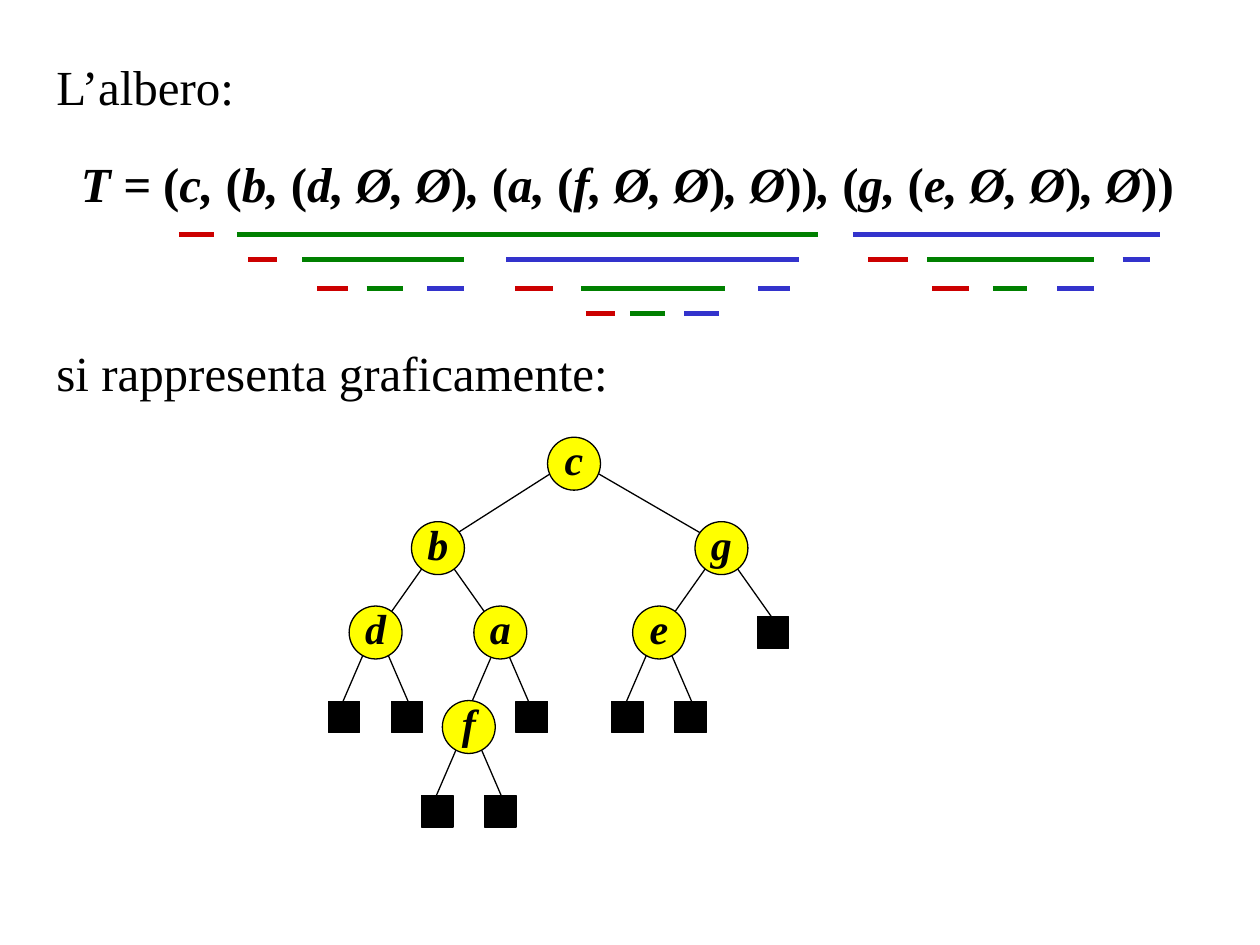
from dataclasses import dataclass
from itertools import groupby

from lxml.etree import SubElement
from pptx import Presentation
from pptx.dml.color import RGBColor
from pptx.enum.shapes import MSO_CONNECTOR, MSO_SHAPE
from pptx.enum.text import MSO_ANCHOR, PP_ALIGN
from pptx.oxml.ns import qn
from pptx.util import Inches, Pt


@dataclass(frozen=True)
class Theme:
    font: str = "Times New Roman"
    ink: RGBColor = RGBColor(0, 0, 0)
    node: RGBColor = RGBColor(0xFF, 0xFF, 0)
    root: RGBColor = RGBColor(0xCC, 0, 0)
    left: RGBColor = RGBColor(0, 0x80, 0)
    right: RGBColor = RGBColor(0x33, 0x33, 0xCC)
    body: Pt = Pt(28)
    label: Pt = Pt(24)
    thin: Pt = Pt(0.75)
    thick: Pt = Pt(3)


THEME = Theme()
COLS = 100
prs = Presentation()
prs.slide_width, prs.slide_height = Inches(10), Inches(7.5)
CELL = prs.slide_width / COLS

FORMULA = "T = (c, (b, (d, Ø, Ø), (a, (f, Ø, Ø), Ø)), (g, (e, Ø, Ø), Ø))"
TREE = ("c",
        ("b", ("d", None, None), ("a", ("f", None, None), None)),
        ("g", ("e", None, None), None))
UNDERLINES = [
    (0, [((0, 2.8), (4.6, 50.7), (53.5, 77.9))]),
    (2, [((5.5, 7.8), (9.8, 22.6), (26, 49.2)),
         ((54.7, 57.9), (59.4, 72.6), (74.9, 77.1))]),
    (4.3, [((11, 13.4), (14.9, 17.8), (19.7, 22.6)),
           ((26.7, 29.7), (31.9, 43.3), (46, 48.5)),
           ((59.8, 62.7), (64.6, 67.3), (69.7, 72.6))]),
    (6.3, [((32.3, 34.6), (35.8, 38.6), (40.1, 42.9))]),
]
EDGE_START = (1.25, 0.4, 0.4)
EDGE_RUN = ((9.1, 10), (4.1, 4.1), (2.5, 2.5))


def at(*cells):
    return [round(c * CELL) for c in cells]


def set_font(p, size, bold=False):
    p.font.name, p.font.size = THEME.font, size
    p.font.color.rgb, p.font.bold = THEME.ink, bold


def add_line(s, x1, y1, x2, y2, color, width):
    cn = s.shapes.add_connector(MSO_CONNECTOR.STRAIGHT, *at(x1, y1, x2, y2))
    cn.line.color.rgb, cn.line.width = color, width
    SubElement(cn._element.spPr, qn("a:effectLst"))


def add_mark(s, kind, x, y, size, fill):
    sp = s.shapes.add_shape(kind, *at(x - size / 2, y - size / 2, size, size))
    sp.shadow.inherit = False
    sp.fill.solid()
    sp.fill.fore_color.rgb = fill
    sp.line.color.rgb, sp.line.width = THEME.ink, THEME.thin
    return sp


def add_statement(s, box):
    tf = s.shapes.add_textbox(*at(*box)).text_frame
    tf.word_wrap = True
    intro, formula, outro = tf.paragraphs[0], tf.add_paragraph(), tf.add_paragraph()
    intro.text, outro.text = "L’albero:", "si rappresenta graficamente:"
    for is_paren, chars in groupby(FORMULA, key=lambda ch: ch in "()"):
        r = formula.add_run()
        r.text, r.font.italic = "".join(chars), not is_paren
    for p, gap in ((intro, 0), (formula, 21.5), (outro, 74.5)):
        set_font(p, THEME.body, bold=p is formula)
        p.space_before = Pt(gap)
    pPr = formula._p.get_or_add_pPr()
    pPr.set("marL", str(Pt(14)))
    pPr.set("indent", "0")


def add_underlines(s, box):
    left, top = box[:2]
    for row, groups in UNDERLINES:
        for group in groups:
            for (x1, x2), color in zip(group, (THEME.root, THEME.left, THEME.right)):
                add_line(s, left + x1, top + row, left + x2, top + row,
                         color, THEME.thick)


def add_node(s, letter, x, y):
    tf = add_mark(s, MSO_SHAPE.OVAL, x, y, 4.2, THEME.node).text_frame
    tf.margin_left = tf.margin_right = tf.margin_top = tf.margin_bottom = 0
    tf.word_wrap = False
    tf.vertical_anchor = MSO_ANCHOR.MIDDLE
    p = tf.paragraphs[0]
    p.text, p.alignment, p.line_spacing = letter, PP_ALIGN.CENTER, 0.8
    set_font(p, THEME.label, bold=True)
    p.font.italic = True


def add_subtree(s, tree, x, y, level=0):
    if tree is None:
        add_mark(s, MSO_SHAPE.RECTANGLE, x, y, 2.5, THEME.ink)
        return
    letter, *kids = tree
    lift = 1.2 if level == 2 and any(kids) else 0.4
    for side, run, kid in zip((-1, 1), EDGE_RUN[min(level, 2)], kids):
        x1 = x + side * EDGE_START[min(level, 2)]
        x2 = x1 + side * run
        add_line(s, x1, y + lift, x2, y + lift + 5.8, THEME.ink, THEME.thin)
        inset = 0.45 if kid and level < 2 else -0.4
        drop = 6.3 + (lift if kid else 0.4)
        add_subtree(s, kid, x2 + side * inset, y + drop, level + 1)
    add_node(s, letter, x, y)


def add_tree(s, box):
    left, top, width, height = box
    add_subtree(s, TREE, left + width * 0.53, top + 2.1)


def main():
    s = prs.slides.add_slide(prs.slide_layouts[6])
    add_statement(s, (3.5, 4, 93.3, 29.5))
    add_tree(s, (26, 34.7, 36.9, 30.9))
    add_underlines(s, (14.2, 18.6, 77.9, 6.3))
    prs.save("out.pptx")


if __name__ == "__main__":
    main()
